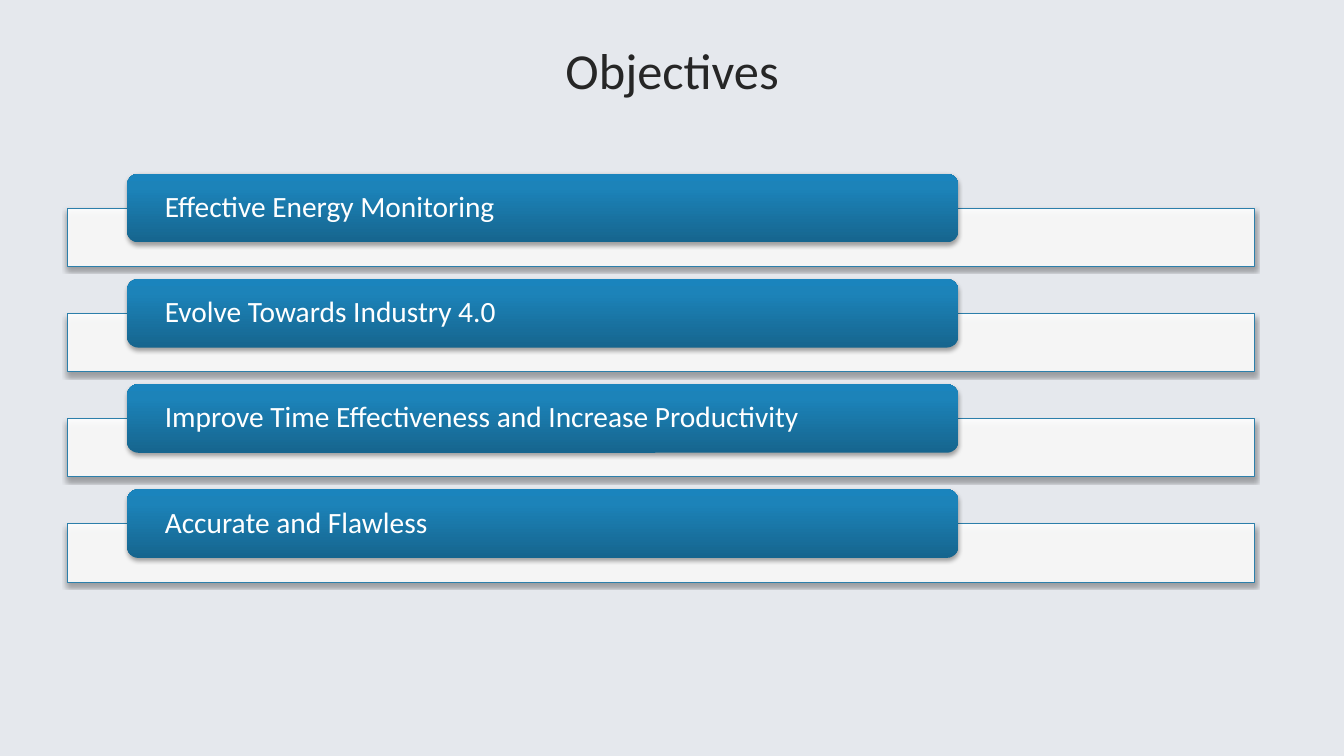
from dataclasses import dataclass

from lxml.etree import SubElement
from pptx import Presentation
from pptx.dml.color import RGBColor
from pptx.enum.shapes import MSO_SHAPE
from pptx.enum.text import MSO_ANCHOR, PP_ALIGN
from pptx.oxml.ns import qn
from pptx.util import Cm, Pt

TITLE = "Objectives"
OBJECTIVES = [
    "Effective Energy Monitoring",
    "Evolve Towards Industry 4.0",
    "Improve Time Effectiveness and Increase Productivity",
    "Accurate and Flawless",
]


@dataclass(frozen=True)
class Theme:
    font: str = "Calibri"
    title_size: int = 36
    label_size: int = 21
    background: str = "E5E8ED"
    title: str = "262626"
    label: str = "FFFFFF"
    bar: str = "FFFFFF"
    bar_opacity: int = 90
    bar_line: str = "2C7FAB"
    tab_stops: tuple = ((0, "16658E"), (80, "1C83B9"), (100, "1A84BD"))
    shadow: str = "000000"
    shadow_opacity: int = 35


THEME = Theme()

# Centimetres
LEFT = 1.7
FIRST_TAB_TOP = 4.38
ROW_PITCH = 2.65
BAR_DROP = 0.87
BAR_WIDTH, BAR_HEIGHT = 29.92, 1.47
TAB_LEFT, TAB_WIDTH, TAB_HEIGHT = 3.2, 20.95, 1.73


def rgb(color):
    return RGBColor.from_string(color)


def add_element(parent, tag, **attributes):
    return SubElement(parent, qn(tag), {name: str(value) for name, value in attributes.items()})


def set_opacity(color_element, percent):
    add_element(color_element, "a:alpha", val=percent * 1000)


def add_soft_shadow(shape):
    shape.shadow.inherit = False
    effects = shape._element.spPr.find(qn("a:effectLst"))
    shadow = add_element(effects, "a:outerShdw", blurRad=Pt(3.1), dist=Pt(1.8),
                         dir=90 * 60000, rotWithShape=0)
    set_opacity(add_element(shadow, "a:srgbClr", val=THEME.shadow), THEME.shadow_opacity)


def set_tab_gradient(shape):
    shape.fill.gradient()
    shape.fill.gradient_angle = 90
    stops = shape._element.spPr.find(qn("a:gradFill")).find(qn("a:gsLst"))
    for stop in list(stops):
        stops.remove(stop)
    for percent, color in THEME.tab_stops:
        stop = add_element(stops, "a:gs", pos=percent * 1000)
        add_element(stop, "a:srgbClr", val=color)


def style_paragraph(para, size, color, alignment):
    para.alignment = alignment
    para.font.name = THEME.font
    para.font.size = Pt(size)
    para.font.color.rgb = rgb(color)


def add_title(page):
    title = page.shapes.title
    title.left, title.top, title.width, title.height = Cm(LEFT), Cm(0.76), Cm(30.48), Cm(1.98)
    frame = title.text_frame
    frame.text = TITLE
    frame.vertical_anchor = MSO_ANCHOR.MIDDLE
    frame.margin_left = frame.margin_right = Cm(0.33)
    frame.margin_top = frame.margin_bottom = Cm(0.18)
    style_paragraph(frame.paragraphs[0], THEME.title_size, THEME.title, PP_ALIGN.CENTER)


def add_bar(page, top):
    bar = page.shapes.add_shape(MSO_SHAPE.RECTANGLE, Cm(LEFT), Cm(top),
                                Cm(BAR_WIDTH), Cm(BAR_HEIGHT))
    bar.fill.solid()
    bar.fill.fore_color.rgb = rgb(THEME.bar)
    set_opacity(bar._element.spPr.find(qn("a:solidFill"))[0], THEME.bar_opacity)
    bar.line.color.rgb = rgb(THEME.bar_line)
    bar.line.width = Pt(0.75)
    add_soft_shadow(bar)


def add_tab(page, top, text):
    tab = page.shapes.add_shape(MSO_SHAPE.ROUNDED_RECTANGLE, Cm(TAB_LEFT), Cm(top),
                                Cm(TAB_WIDTH), Cm(TAB_HEIGHT))
    tab.adjustments[0] = 1 / 6
    set_tab_gradient(tab)
    tab.line.fill.background()
    add_soft_shadow(tab)
    frame = tab.text_frame
    frame.text = text
    frame.word_wrap = True
    frame.vertical_anchor = MSO_ANCHOR.MIDDLE
    frame.margin_left = frame.margin_right = Cm(0.87)
    frame.margin_top = frame.margin_bottom = Cm(0.08)
    para = frame.paragraphs[0]
    para.line_spacing = 0.9
    style_paragraph(para, THEME.label_size, THEME.label, PP_ALIGN.LEFT)


def main():
    deck = Presentation()
    deck.slide_width, deck.slide_height = Cm(33.87), Cm(19.05)
    page = deck.slides.add_slide(deck.slide_layouts[5])
    page.background.fill.solid()
    page.background.fill.fore_color.rgb = rgb(THEME.background)
    add_title(page)
    for row, objective in enumerate(OBJECTIVES):
        top = FIRST_TAB_TOP + row * ROW_PITCH
        add_bar(page, top + BAR_DROP)
        add_tab(page, top, objective)
    deck.save("out.pptx")


if __name__ == "__main__":
    main()
